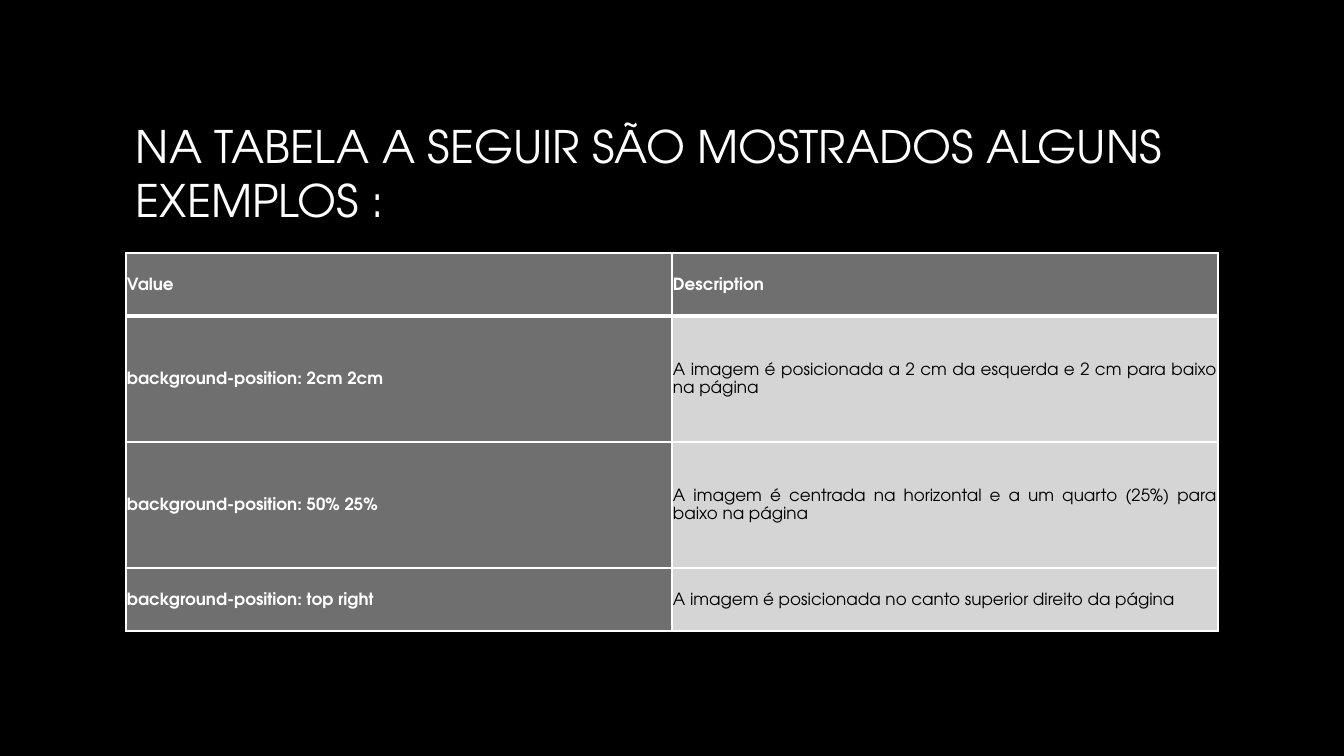
from dataclasses import dataclass

import lxml.etree
import pptx
import pptx.dml.color
import pptx.enum.text
import pptx.oxml.ns
import pptx.util

SCALE = 914400 / 100.8
HEAD = "NA TABELA A SEGUIR SÃO MOSTRADOS ALGUNS EXEMPLOS :"
ROWS = [
    ("Value", "Description"),
    ("background-position: 2cm 2cm",
     "A imagem é posicionada a 2 cm da esquerda e 2 cm para baixo na página"),
    ("background-position: 50% 25%",
     "A imagem é centrada na horizontal e a um quarto (25%) para baixo na página"),
    ("background-position: top right",
     "A imagem é posicionada no canto superior direito da página"),
]
HEIGHTS = [63, 126, 126, 63]


@dataclass(frozen=True)
class Theme:
    font: str = "TeX Gyre Adventor"
    back: str = "000000"
    light: str = "FFFFFF"
    dark: str = "000000"
    label: str = "6F6F6F"
    body: str = "D5D5D5"
    title: int = 32
    text: int = 12
    thin: int = 1
    thick: int = 3


THEME = Theme()


def px(num):
    return pptx.util.Emu(round(num * SCALE))


def paint(fill, color):
    fill.solid()
    fill.fore_color.rgb = pptx.dml.color.RGBColor.from_string(color)


def style(para, size, color, bold=False):
    for run in para.runs:
        font = run.font
        font.name = THEME.font
        font.size = pptx.util.Pt(size)
        font.bold = bold
        paint(font.fill, color)


def edge(cell, sides):
    """Draw cell borders; sides maps L, R, T and B, in that order, to points."""
    props = cell._tc.get_or_add_tcPr()
    qn = pptx.oxml.ns.qn
    for spot, (side, width) in enumerate(sides.items()):
        line = lxml.etree.Element(qn(f"a:ln{side}"), w=str(pptx.util.Pt(width)))
        fill = lxml.etree.SubElement(line, qn("a:solidFill"))
        lxml.etree.SubElement(fill, qn("a:srgbClr"), val=THEME.light)
        props.insert(spot, line)


def add_title(slide, text, left, top, width, height):
    box = slide.shapes.add_textbox(px(left), px(top), px(width), px(height))
    frame = box.text_frame
    frame.word_wrap = True
    frame.vertical_anchor = pptx.enum.text.MSO_ANCHOR.MIDDLE
    frame.text = text
    style(frame.paragraphs[0], THEME.title, THEME.light)


def fill_cell(cell, text, label):
    cell.margin_left = cell.margin_right = px(1)
    cell.margin_top = cell.margin_bottom = px(1)
    cell.vertical_anchor = pptx.enum.text.MSO_ANCHOR.MIDDLE
    paint(cell.fill, THEME.label if label else THEME.body)
    para = cell.text_frame.paragraphs[0]
    para.text = text
    para.alignment = pptx.enum.text.PP_ALIGN.JUSTIFY
    para.line_spacing = 1.15
    para.space_after = pptx.util.Pt(10)
    style(para, THEME.text, THEME.light if label else THEME.dark, label)


def add_grid(slide, rows, heights, left, top, width):
    cols = len(rows[0])
    frame = slide.shapes.add_table(
        len(rows), cols, px(left), px(top), px(width), px(sum(heights)))
    table = frame.table
    for col in table.columns:
        col.width = px(width // cols)
    for i, (row, height) in enumerate(zip(rows, heights)):
        table.rows[i].height = px(height)
        for j, text in enumerate(row):
            cell = table.cell(i, j)
            fill_cell(cell, text, label=i == 0 or j == 0)
            edge(cell, {
                "L": THEME.thin,
                "R": THEME.thin,
                "T": THEME.thick if i == 1 else THEME.thin,
                "B": THEME.thick if i == 0 else THEME.thin,
            })


def main():
    deck = pptx.Presentation()
    deck.slide_width, deck.slide_height = px(1344), px(756)
    slide = deck.slides.add_slide(deck.slide_layouts[6])
    paint(slide.background.fill, THEME.back)
    add_title(slide, HEAD, 126, 68, 1092, 210)
    add_grid(slide, ROWS, HEIGHTS, 126, 253, 1092)
    deck.save("out.pptx")


if __name__ == "__main__":
    main()
